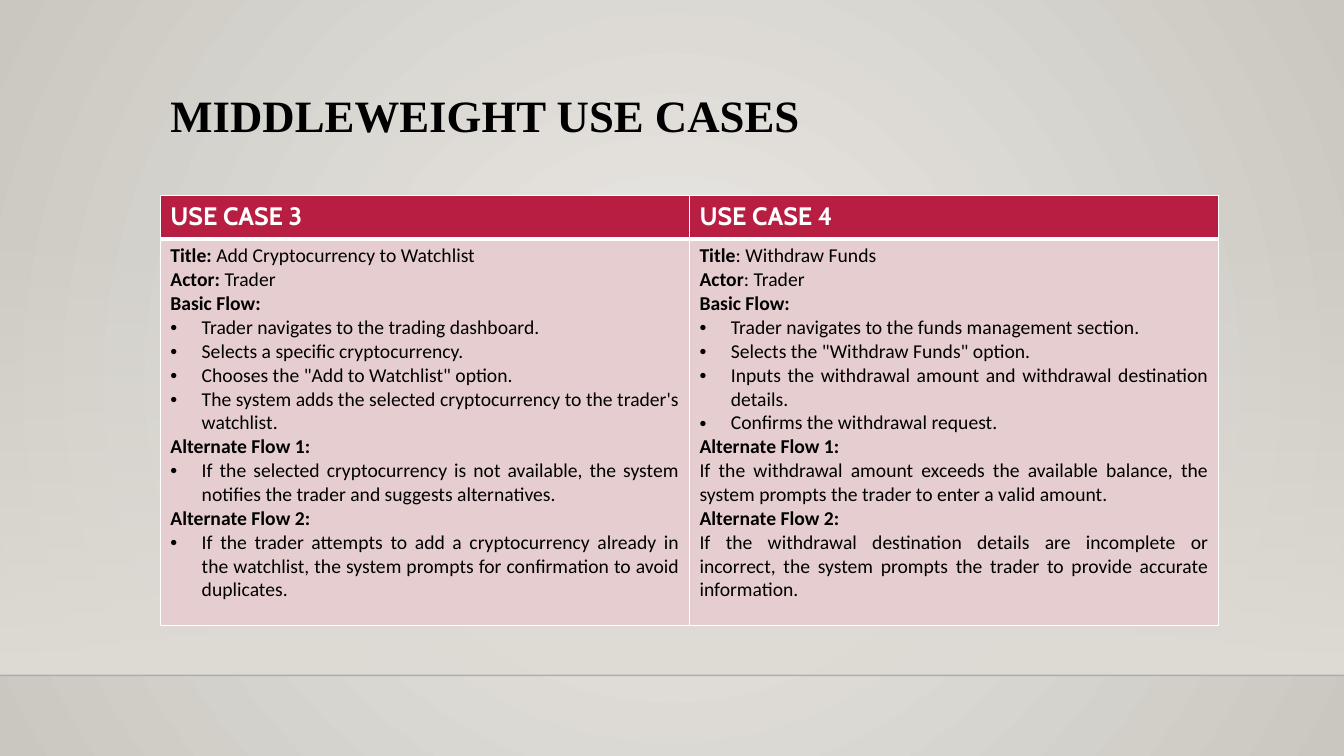
from dataclasses import dataclass

from lxml.etree import SubElement
from pptx import Presentation
from pptx.dml.color import RGBColor
from pptx.enum.shapes import MSO_CONNECTOR, MSO_SHAPE
from pptx.enum.text import MSO_ANCHOR, MSO_AUTO_SIZE, PP_ALIGN
from pptx.oxml import parse_xml
from pptx.oxml.ns import nsdecls, qn
from pptx.util import Cm, Pt

COLORS = {
    "center": "ECEAE7",
    "edge": "CAC7C1",
    "wall": "DFDBD5",
    "floor_line": "000001",
    "header": "B71E42",
    "body": "E6CDCF",
    "white": "FFFFFF",
    "black": "000000",
}
SLIDE_WIDTH, SLIDE_HEIGHT = Cm(33.87), Cm(19.05)
LEFT, CONTENT_WIDTH = Cm(4.04), Cm(26.67)
WALL_TOP, FLOOR_TOP = Cm(5.61), Cm(17.02)
HEADER_HEIGHT, BODY_HEIGHT = Cm(1.1), Cm(9.74)
BULLET_INDENT = Cm(0.79)
RADIAL = ('<a:path path="circle"><a:fillToRect l="50000" t="50000" '
          'r="50000" b="50000"/></a:path>')
DOWNWARD = '<a:lin ang="5400000" scaled="0"/>'


@dataclass(frozen=True)
class Line:
    label: str = ""
    text: str = ""
    bullet: bool = False


@dataclass(frozen=True)
class UseCase:
    heading: str
    lines: tuple[Line, ...]


def step(text: str) -> Line:
    return Line(text=text, bullet=True)


USE_CASES = (
    UseCase("USE CASE 3", (
        Line("Title: ", "Add Cryptocurrency to Watchlist"),
        Line("Actor: ", "Trader"),
        Line("Basic Flow:"),
        step("Trader navigates to the trading dashboard."),
        step("Selects a specific cryptocurrency."),
        step('Chooses the "Add to Watchlist" option.'),
        step("The system adds the selected cryptocurrency to the trader's watchlist."),
        Line("Alternate Flow 1:"),
        step("If the selected cryptocurrency is not available, the system notifies "
             "the trader and suggests alternatives."),
        Line("Alternate Flow 2:"),
        step("If the trader attempts to add a cryptocurrency already in the watchlist, "
             "the system prompts for confirmation to avoid duplicates."),
    )),
    UseCase("USE CASE 4", (
        Line("Title", ": Withdraw Funds"),
        Line("Actor", ": Trader"),
        Line("Basic Flow:"),
        step("Trader navigates to the funds management section."),
        step('Selects the "Withdraw Funds" option.'),
        step("Inputs the withdrawal amount and withdrawal destination details."),
        step("Confirms the withdrawal request."),
        Line("Alternate Flow 1:"),
        Line(text="If the withdrawal amount exceeds the available balance, the system "
                  "prompts the trader to enter a valid amount."),
        Line("Alternate Flow 2:"),
        Line(text="If the withdrawal destination details are incomplete or incorrect, "
                  "the system prompts the trader to provide accurate information."),
    )),
)


def rgb(name: str) -> RGBColor:
    return RGBColor.from_string(COLORS[name])


def set_font(font, face: str, size: float, color: str) -> None:
    font.name, font.size = face, Pt(size)
    font.color.rgb = rgb(color)


def set_gradient(owner, start: str, end: str, direction: str, start_alpha: int = 100) -> None:
    gradient = next(owner.iter(qn("a:gradFill")))
    gradient.getparent().replace(gradient, parse_xml(
        f'<a:gradFill {nsdecls("a")} rotWithShape="1"><a:gsLst>'
        f'<a:gs pos="0"><a:srgbClr val="{COLORS[start]}">'
        f'<a:alpha val="{start_alpha * 1000}"/></a:srgbClr></a:gs>'
        f'<a:gs pos="100000"><a:srgbClr val="{COLORS[end]}"/></a:gs>'
        f'</a:gsLst>{direction}</a:gradFill>'))


def draw_backdrop(slide) -> None:
    slide.background.fill.gradient()
    set_gradient(slide.element, "center", "edge", RADIAL)

    wall = slide.shapes.add_shape(
        MSO_SHAPE.RECTANGLE, 0, WALL_TOP, SLIDE_WIDTH, FLOOR_TOP - WALL_TOP)
    wall.shadow.inherit = False
    wall.line.fill.background()
    wall.fill.gradient()
    set_gradient(wall.element, "wall", "wall", DOWNWARD, start_alpha=0)

    floor = slide.shapes.add_connector(
        MSO_CONNECTOR.STRAIGHT, 0, FLOOR_TOP, SLIDE_WIDTH, FLOOR_TOP)
    floor.line.width = Pt(1)
    floor.line.color.rgb = rgb("floor_line")
    SubElement(next(floor.element.iter(qn("a:srgbClr"))), qn("a:alpha"), val="20000")
    SubElement(floor.element.spPr, qn("a:effectLst"))


def write_title(slide, text: str) -> None:
    title = slide.shapes.title
    title.left, title.top = LEFT, Cm(2.24)
    title.width, title.height = CONTENT_WIDTH, Cm(2.92)
    frame = title.text_frame
    frame.text = text
    frame.word_wrap = True
    frame.auto_size = MSO_AUTO_SIZE.NONE
    frame.vertical_anchor = MSO_ANCHOR.TOP
    heading = frame.paragraphs[0]
    heading.alignment, heading.line_spacing = PP_ALIGN.LEFT, 0.9
    set_font(heading.font, "Times New Roman", 32, "black")
    heading.font.bold = True


def format_cell(cell, fill: str, top: float, bottom: float) -> None:
    properties = cell._tc.get_or_add_tcPr()
    for side, width in (("L", 1), ("R", 1), ("T", top), ("B", bottom)):
        properties.append(parse_xml(
            f'<a:ln{side} {nsdecls("a")} w="{Pt(width)}"><a:solidFill>'
            f'<a:srgbClr val="{COLORS["white"]}"/></a:solidFill></a:ln{side}>'))
    cell.fill.solid()
    cell.fill.fore_color.rgb = rgb(fill)


def write_line(paragraph, line: Line) -> None:
    paragraph.alignment = PP_ALIGN.JUSTIFY
    if line.bullet:
        properties = paragraph._p.get_or_add_pPr()
        properties.set("marL", str(BULLET_INDENT))
        properties.set("indent", str(-BULLET_INDENT))
        SubElement(properties, qn("a:buFont"), typeface="Arial")
        SubElement(properties, qn("a:buChar"), char="•")
    set_font(paragraph.font, "Calibri", 14, "black")
    for text, bold in ((line.label, True), (line.text, False)):
        if text:
            run = paragraph.add_run()
            run.text, run.font.bold = text, bold


def draw_use_cases(slide) -> None:
    table = slide.shapes.add_table(
        2, len(USE_CASES), LEFT, Cm(4.93), CONTENT_WIDTH,
        HEADER_HEIGHT + BODY_HEIGHT).table
    table.rows[0].height, table.rows[1].height = HEADER_HEIGHT, BODY_HEIGHT
    for column, use_case in enumerate(USE_CASES):
        header, body = table.cell(0, column), table.cell(1, column)
        format_cell(header, "header", top=1, bottom=3)
        format_cell(body, "body", top=3, bottom=1)
        header.text = use_case.heading
        heading = header.text_frame.paragraphs[0]
        heading.alignment = PP_ALIGN.JUSTIFY
        set_font(heading.font, "Cabin", 18, "white")
        heading.font.bold = True
        for index, line in enumerate(use_case.lines):
            frame = body.text_frame
            write_line(frame.add_paragraph() if index else frame.paragraphs[0], line)


def main() -> None:
    deck = Presentation()
    deck.slide_width, deck.slide_height = SLIDE_WIDTH, SLIDE_HEIGHT
    slide = deck.slides.add_slide(deck.slide_layouts[5])
    draw_backdrop(slide)
    write_title(slide, "MIDDLEWEIGHT USE CASES")
    draw_use_cases(slide)
    deck.save("out.pptx")


if __name__ == "__main__":
    main()
